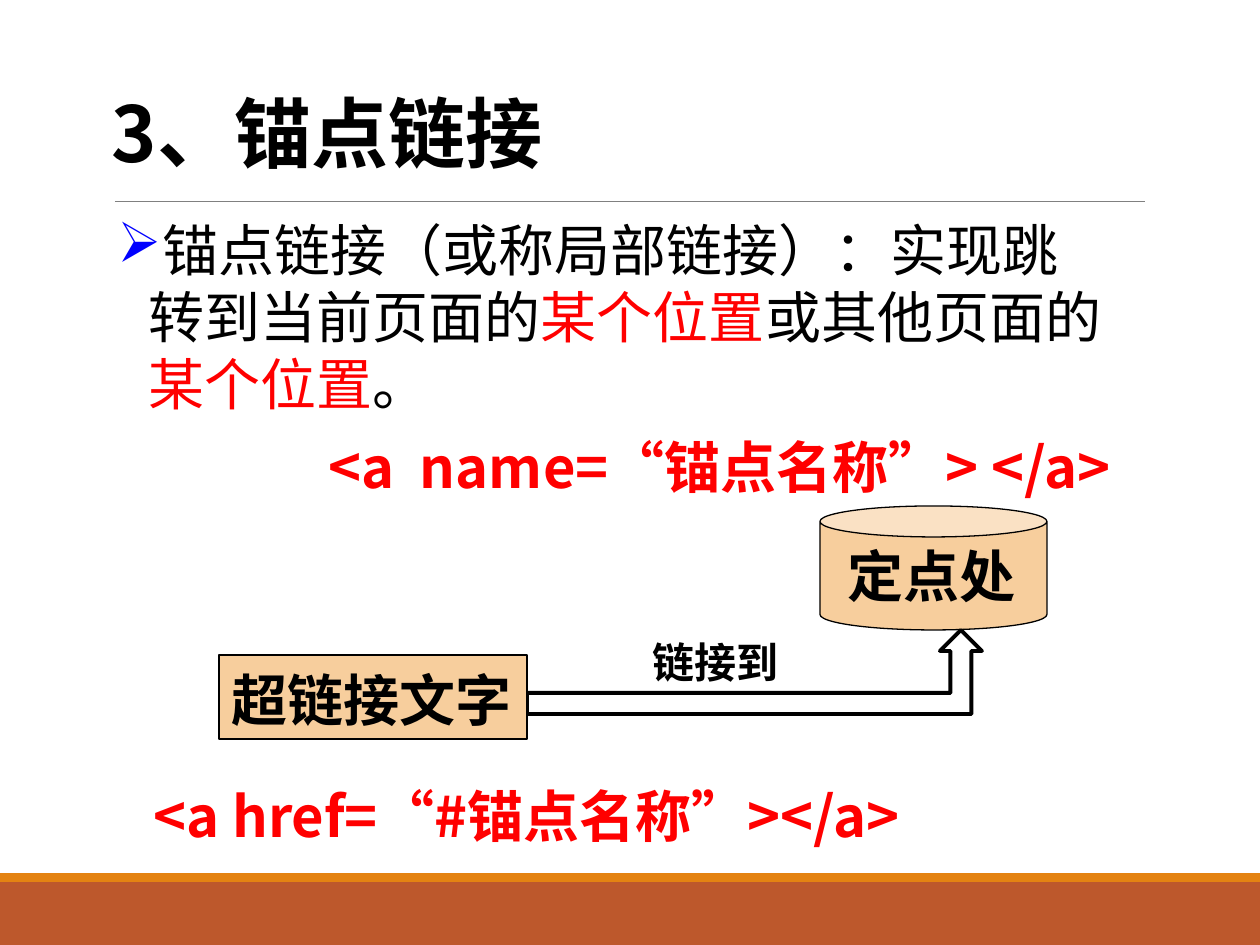
from dataclasses import dataclass

from lxml import etree
from pptx import Presentation
from pptx.dml.color import RGBColor
from pptx.enum.shapes import MSO_CONNECTOR, MSO_SHAPE
from pptx.enum.text import MSO_ANCHOR, MSO_AUTO_SIZE, PP_ALIGN
from pptx.oxml.ns import qn
from pptx.util import Emu, Pt

STRAIGHT = MSO_CONNECTOR.STRAIGHT
RECTANGLE, CAN = MSO_SHAPE.RECTANGLE, MSO_SHAPE.CAN
TOP, BOTTOM = MSO_ANCHOR.TOP, MSO_ANCHOR.BOTTOM
LEFT = PP_ALIGN.LEFT
NO_AUTOFIT = MSO_AUTO_SIZE.NONE

EMU_PER_PX = 914400 / 126
SLIDE_WIDTH, SLIDE_HEIGHT = 1260, 945


@dataclass(frozen=True)
class Theme:
    black: str = "000000"
    red: str = "FF0000"
    bullet: str = "0000FF"
    rule: str = "808080"
    node: str = "F7CE9D"
    footer: str = "BD582C"
    footer_edge: str = "E48312"
    title_size: int = 44
    body_size: int = 32
    label_size: int = 24
    title_font: str = "Noto Sans CJK SC"
    body_font: str = "Noto Sans CJK JP"
    node_font: str = "Arial"


def px(value):
    return Emu(round(value * EMU_PER_PX))


def rgb(color):
    return RGBColor.from_string(color)


class SlideBuilder:
    def __init__(self, slide, theme):
        self.slide = slide
        self.shapes = slide.shapes
        self.theme = theme

    def set_text(self, shape, runs, size, font_name, bold=True, anchor=TOP, wrap=True):
        """Fill a shape with one left-aligned paragraph of (text, color) runs."""
        frame = shape.text_frame
        frame.auto_size = NO_AUTOFIT
        frame.word_wrap = wrap
        frame.vertical_anchor = anchor
        paragraph = frame.paragraphs[0]
        paragraph.alignment = LEFT
        paragraph.font.size = Pt(size)
        paragraph.font.bold = bold
        paragraph.font.name = font_name
        for text, color in runs:
            run = paragraph.add_run()
            run.text = text
            run.font.color.rgb = rgb(color)
            # East Asian glyphs take their typeface from a:ea
            east_asian = etree.SubElement(run.font._element, qn("a:ea"))
            east_asian.set("typeface", font_name)
        return paragraph

    def title(self, text, left, top, width, height):
        shape = self.shapes.title
        shape.left, shape.top, shape.width, shape.height = map(px, (left, top, width, height))
        self.set_text(shape, [(text, self.theme.black)],
                      self.theme.title_size, self.theme.title_font)

    def text(self, runs, left, top, width, height, size, font_name, bold=True, wrap=True):
        box = self.shapes.add_textbox(*map(px, (left, top, width, height)))
        return self.set_text(box, runs, size, font_name, bold, wrap=wrap)

    def code(self, text, left, top, width, height):
        self.text([(text, self.theme.red)], left, top, width, height,
                  self.theme.body_size, self.theme.body_font)

    def bullet(self, runs, left, top, width, height, mark, indent):
        paragraph = self.text(runs, left, top, width, height,
                              self.theme.body_size, self.theme.body_font, bold=False)
        properties = paragraph._p.get_or_add_pPr()
        properties.set("marL", str(px(indent)))
        properties.set("indent", str(-px(indent)))
        color = etree.Element(qn("a:buClr"))
        etree.SubElement(color, qn("a:srgbClr")).set("val", self.theme.bullet)
        character = etree.Element(qn("a:buChar"))
        character.set("char", mark)
        properties.insert(0, color)
        properties.insert(1, character)

    def shape(self, kind, left, top, width, height, fill):
        shape = self.shapes.add_shape(kind, *map(px, (left, top, width, height)))
        shape.shadow.inherit = False
        shape.fill.solid()
        shape.fill.fore_color.rgb = rgb(fill)
        shape.line.fill.background()
        return shape

    def node(self, kind, text, left, top, width, height):
        shape = self.shape(kind, left, top, width, height, self.theme.node)
        self.outline(shape, self.theme.black, 0.75)
        self.set_text(shape, [(text, self.theme.black)], self.theme.body_size,
                      self.theme.node_font, anchor=BOTTOM)

    def outline(self, shape, color, width):
        shape.line.color.rgb = rgb(color)
        shape.line.width = Pt(width)

    def rule(self, left, right, y):
        line = self.shapes.add_connector(STRAIGHT, px(left), px(y), px(right), px(y))
        self.outline(line, self.theme.rule, 0.5)
        etree.SubElement(line._element.spPr, qn("a:effectLst"))

    def bent_arrow(self, left, bottom, tip_x, tip_y, thickness, head):
        """Draw a hollow arrow that runs right, then up to its tip."""
        half = thickness / 2
        points = [
            (left, bottom - thickness),
            (tip_x - half, bottom - thickness),
            (tip_x - half, tip_y + head),
            (tip_x - head, tip_y + head),
            (tip_x, tip_y),
            (tip_x + head, tip_y + head),
            (tip_x + half, tip_y + head),
            (tip_x + half, bottom),
            (left, bottom),
        ]
        start, *rest = [(px(x), px(y)) for x, y in points]
        builder = self.shapes.build_freeform(*start, scale=1.0)
        builder.add_line_segments(rest, close=True)
        arrow = builder.convert_to_shape()
        arrow.shadow.inherit = False
        arrow.fill.background()
        self.outline(arrow, self.theme.black, 2.25)


def main():
    presentation = Presentation()
    presentation.slide_width, presentation.slide_height = px(SLIDE_WIDTH), px(SLIDE_HEIGHT)
    title_only = presentation.slide_layouts[5]
    theme = Theme()
    builder = SlideBuilder(presentation.slides.add_slide(title_only), theme)

    builder.shape(RECTANGLE, 0, 882, SLIDE_WIDTH, 63, theme.footer)
    builder.shape(RECTANGLE, 0, 873, SLIDE_WIDTH, 9, theme.footer_edge)
    builder.rule(115, 1145, 201)

    builder.title("3、锚点链接", 99, 79, 1018, 106)
    builder.bullet(
        [
            ("锚点链接（或称局部链接）：实现跳转到当前页面的", theme.black),
            ("某个位置", theme.red),
            ("或其他页面的", theme.black),
            ("某个位置", theme.red),
            ("。", theme.black),
        ],
        105, 209, 1012, 214, mark="➢", indent=31)

    builder.node(CAN, " 定点处", 820, 506, 227, 124)
    builder.bent_arrow(left=527, bottom=714, tip_x=961, tip_y=630, thickness=21, head=21)
    builder.node(RECTANGLE, "超链接文字", 219, 655, 308, 84)
    builder.text([("链接到", theme.black)], 640, 630, 151, 63,
                 theme.label_size, theme.node_font, wrap=False)

    builder.code("<a  name=“锚点名称”> </a>", 316, 426, 915, 81)
    builder.code("<a href=“#锚点名称”></a>", 141, 775, 932, 81)

    presentation.save("out.pptx")


if __name__ == "__main__":
    main()
